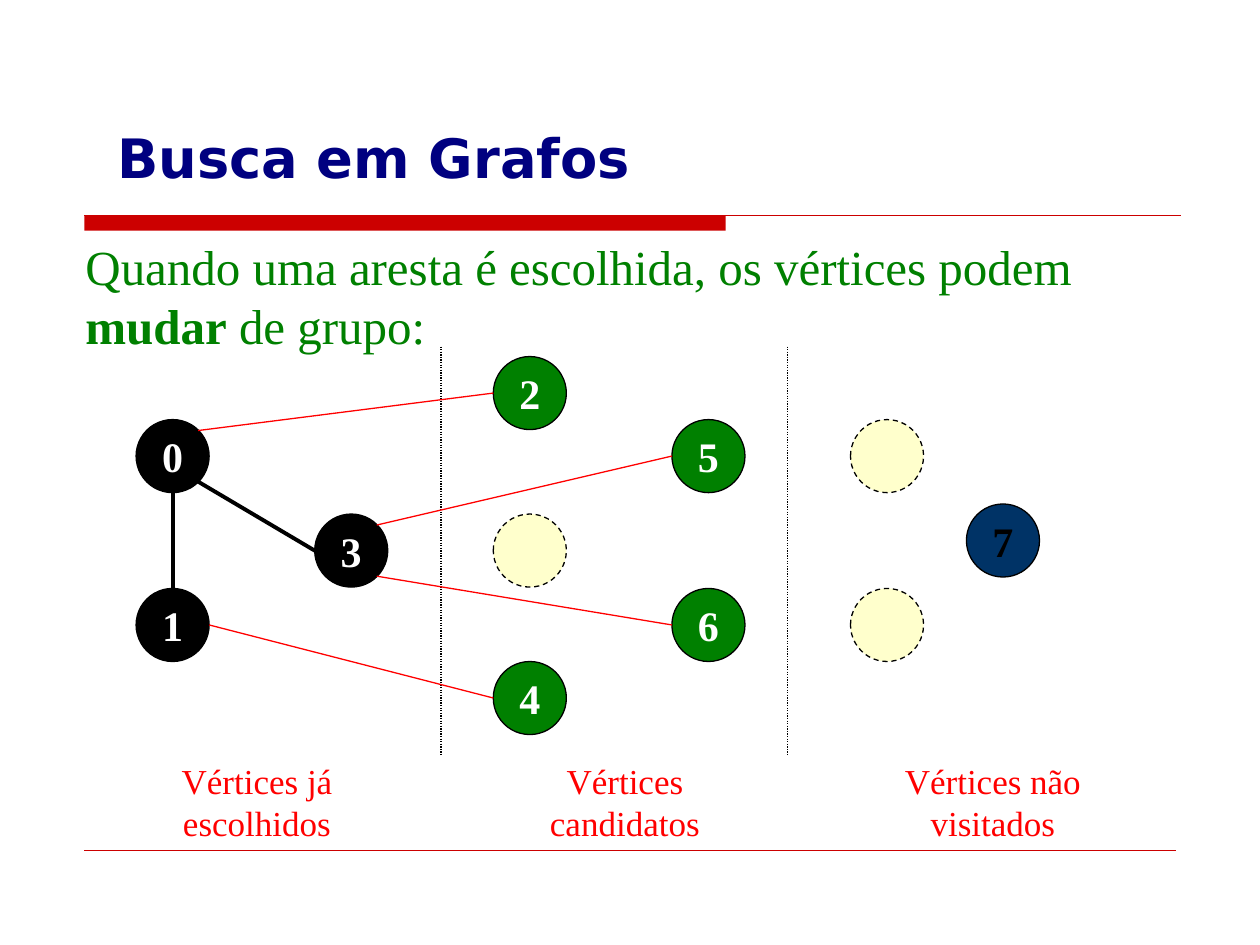
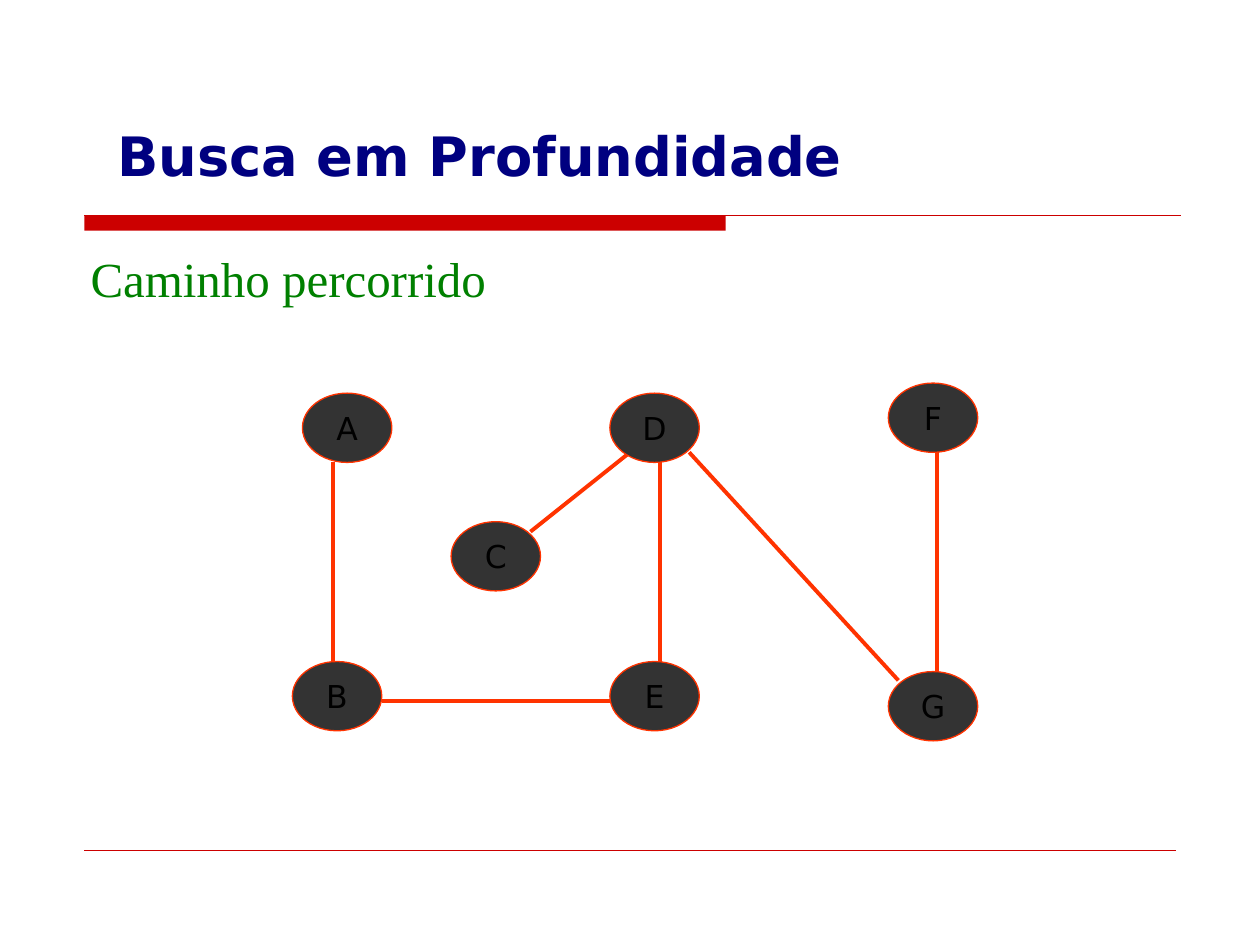
from dataclasses import dataclass
from lxml.etree import SubElement
from pptx import Presentation
from pptx.dml.color import RGBColor
from pptx.enum.dml import MSO_LINE as Dash
from pptx.enum.shapes import MSO_CONNECTOR as Link, MSO_SHAPE as Form
from pptx.enum.text import MSO_ANCHOR as Anchor, PP_ALIGN as Align
from pptx.oxml.ns import qn
from pptx.util import Inches, Pt

SANS, SERIF = "DejaVu Sans", "Times New Roman"
NAVY, GREEN, RED, BAND = "000080", "008000", "FF0000", "CC0000"
BLACK, WHITE, CREAM, BLUE = "000000", "FFFFFF", "FFFFCC", "003366"
GRAY, FLAME = "333333", "FF3300"


@dataclass(frozen=True)
class Font:
    size: float
    face: str
    color: str
    bold: bool = False


@dataclass(frozen=True)
class Look:
    wide: float
    high: float
    line: str
    size: float
    face: str
    bold: bool


@dataclass(frozen=True)
class Node:
    x: float
    y: float
    fill: str
    text: str = ""
    ink: str = WHITE


@dataclass(frozen=True)
class Stroke:
    color: str
    width: float
    dash: Dash | None = None


@dataclass(frozen=True)
class Edge:
    start: str
    side: str
    end: str
    goal: str
    stroke: Stroke


BIG = Font(31, SANS, NAVY, True)
BODY = Font(28, SERIF, GREEN)
BOLD = Font(28, SERIF, GREEN, True)
NOTE = Font(20, SERIF, RED)

ROUND = Look(0.58, 0.58, BLACK, 24, SERIF, True)
OVAL = Look(0.71, 0.55, FLAME, 18, SANS, False)

THICK = Stroke(BLACK, 2.25)
THIN = Stroke(RED, 0.75)
DOTS = Stroke(BLACK, 0.75, Dash.ROUND_DOT)
TRACE = Stroke(FLAME, 2.25)
RULE = Stroke(BAND, 0.75)
FOOT = Stroke(BAND, 0.25)

SIDES = {
    "left": (0, 0.5),
    "right": (1, 0.5),
    "top": (0.5, 0),
    "low": (0.5, 1),
    "top right": (0.85, 0.15),
    "low right": (0.85, 0.85),
}

COLS = [1.08 + 1.4175 * i for i in range(5)]
HIGH, MID, LOW = 3.33, 4.08, 4.67

GRAPH = [
    Node(COLS[0], HIGH, BLACK, "0"),
    Node(COLS[0], LOW, BLACK, "1"),
    Node(COLS[2], 2.83, GREEN, "2"),
    Node(COLS[1], MID, BLACK, "3"),
    Node(COLS[2], 5.25, GREEN, "4"),
    Node(COLS[3], HIGH, GREEN, "5"),
    Node(COLS[3], LOW, GREEN, "6"),
    Node(7.67, 4, BLUE, "7", BLACK),
    Node(COLS[2], MID, CREAM),
    Node(COLS[4], HIGH, CREAM),
    Node(COLS[4], LOW, CREAM),
]
EDGES = [
    Edge("0", "low", "1", "top", THICK),
    Edge("0", "top right", "2", "left", THIN),
    Edge("0", "low right", "3", "left", THICK),
    Edge("1", "right", "4", "left", THIN),
    Edge("3", "top right", "5", "left", THIN),
    Edge("3", "low right", "6", "left", THIN),
]
GROUPS = [
    (1.25, 1.58, ("Vértices já", "escolhidos")),
    (4.17, 1.58, ("Vértices", "candidatos")),
    (6.92, 1.92, ("Vértices não", "visitados")),
]

TREE = [
    Node(x, y, GRAY, text, BLACK)
    for text, x, y in [
        ("A", 2.4, 3.12), ("B", 2.32, 5.25), ("C", 3.58, 4.14), ("D", 4.84, 3.12),
        ("E", 4.84, 5.25), ("F", 7.05, 3.04), ("G", 7.05, 5.33),
    ]
]
WALK = [
    (4.21, 4.22, 5, 3.59),
    (3.03, 5.56, 4.84, 5.56),
    (5.24, 3.67, 5.24, 5.25),
    (2.64, 3.67, 2.64, 5.25),
    (7.44, 3.59, 7.44, 5.33),
    (5.47, 3.59, 7.13, 5.4),
]


def rgb(color: str) -> RGBColor:
    return RGBColor.from_string(color)


def add_run(para, text: str, font: Font) -> None:
    run = para.add_run()
    run.text = text
    run.font.size = Pt(font.size)
    run.font.name = font.face
    run.font.bold = font.bold
    run.font.color.rgb = rgb(font.color)


def set_line(line, stroke: Stroke) -> None:
    line.color.rgb = rgb(stroke.color)
    line.width = Pt(stroke.width)
    if stroke.dash:
        line.dash_style = stroke.dash


def add_line(slide, x1: float, y1: float, x2: float, y2: float, stroke: Stroke) -> None:
    ends = [Inches(v) for v in (x1, y1, x2, y2)]
    line = slide.shapes.add_connector(Link.STRAIGHT, *ends)
    set_line(line.line, stroke)
    SubElement(line._element.spPr, qn("a:effectLst"))


def add_shape(slide, form: Form, x: float, y: float, wide: float, high: float, fill: str):
    shape = slide.shapes.add_shape(form, Inches(x), Inches(y), Inches(wide), Inches(high))
    shape.shadow.inherit = False
    shape.fill.solid()
    shape.fill.fore_color.rgb = rgb(fill)
    return shape


def add_text(slide, x: float, y: float, wide: float, high: float):
    box = slide.shapes.add_textbox(Inches(x), Inches(y), Inches(wide), Inches(high))
    box.text_frame.word_wrap = True
    return box.text_frame.paragraphs[0]


def add_node(slide, node: Node, look: Look) -> None:
    shape = add_shape(slide, Form.OVAL, node.x, node.y, look.wide, look.high, node.fill)
    set_line(shape.line, Stroke(look.line, 0.75, None if node.text else Dash.DASH))
    if node.text:
        frame = shape.text_frame
        frame.word_wrap = False
        frame.vertical_anchor = Anchor.MIDDLE
        para = frame.paragraphs[0]
        para.alignment = Align.CENTER
        add_run(para, node.text, Font(look.size, look.face, node.ink, look.bold))


def spot(node: Node, side: str, look: Look) -> tuple[float, float]:
    dx, dy = SIDES[side]
    return node.x + dx * look.wide, node.y + dy * look.high


def add_slide(deck, text: str, x: float, y: float, wide: float, high: float):
    slide = deck.slides.add_slide(deck.slide_layouts[5])
    title = slide.shapes.title
    title.left, title.top = Inches(x), Inches(y)
    title.width, title.height = Inches(wide), Inches(high)
    title.text_frame.vertical_anchor = Anchor.BOTTOM
    para = title.text_frame.paragraphs[0]
    para.alignment = Align.LEFT
    add_run(para, text, BIG)
    band = add_shape(slide, Form.RECTANGLE, 0.67, 1.71, 5.09, 0.12, BAND)
    band.line.fill.background()
    add_line(slide, 0.67, 1.71, 9.37, 1.71, RULE)
    add_line(slide, 0.67, 6.75, 9.33, 6.75, FOOT)
    return slide


def draw_graph(deck) -> None:
    slide = add_slide(deck, "Busca em Grafos", 0.83, 0.3, 9, 1.25)
    para = add_text(slide, 0.58, 1.83, 8.83, 1.04)
    add_run(para, "Quando uma aresta é escolhida, os vértices podem ", BODY)
    add_run(para, "mudar", BOLD)
    add_run(para, " de grupo:", BODY)
    for x, wide, (first, last) in GROUPS:
        para = add_text(slide, x, 5.98, wide, 0.77)
        para.alignment = Align.CENTER
        add_run(para, first, NOTE)
        para.add_line_break()
        add_run(para, last, NOTE)
    for x in (3.5, 6.25):
        add_line(slide, x, 2.75, x, 6, DOTS)
    for node in GRAPH:
        add_node(slide, node, ROUND)
    nodes = {node.text: node for node in GRAPH}
    for edge in EDGES:
        start = spot(nodes[edge.start], edge.side, ROUND)
        end = spot(nodes[edge.end], edge.goal, ROUND)
        add_line(slide, *start, *end, edge.stroke)


def draw_walk(deck) -> None:
    slide = add_slide(deck, "Busca em Profundidade", 0.83, 0.21, 8.75, 1.33)
    add_run(add_text(slide, 0.62, 1.92, 8.75, 4.67), "Caminho percorrido", BODY)
    for ends in WALK:
        add_line(slide, *ends, TRACE)
    for node in TREE:
        add_node(slide, node, OVAL)


def main() -> None:
    deck = Presentation()
    deck.slide_width, deck.slide_height = Inches(10), Inches(7.5)
    draw_graph(deck)
    draw_walk(deck)
    deck.save("out.pptx")


if __name__ == "__main__":
    main()
